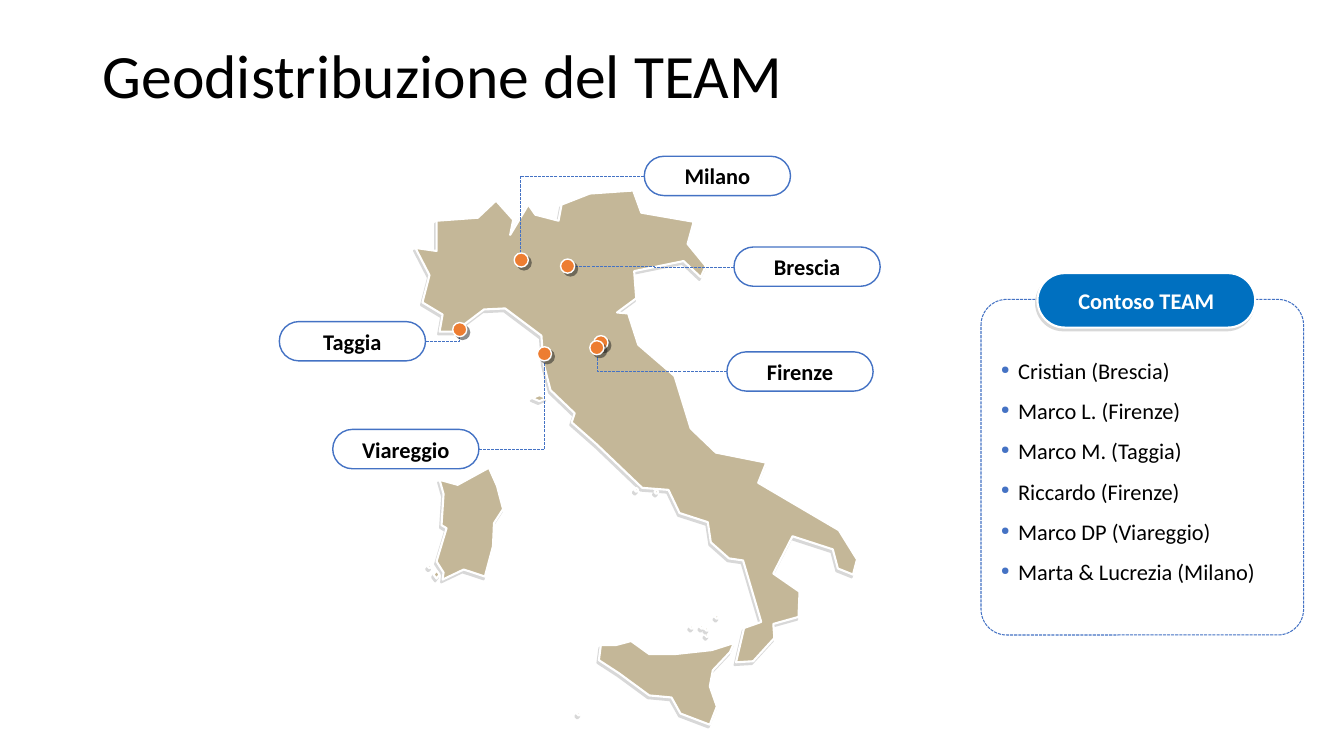
from lxml.etree import SubElement
from pptx import Presentation
from pptx.dml.color import RGBColor
from pptx.enum.dml import MSO_LINE
from pptx.enum.shapes import MSO_CONNECTOR, MSO_SHAPE
from pptx.enum.text import MSO_ANCHOR, PP_ALIGN
from pptx.oxml.ns import qn
from pptx.util import Pt

PX = 9144  # 100 px to the inch
BLACK = RGBColor(0x00, 0x00, 0x00)
WHITE = RGBColor(0xFF, 0xFF, 0xFF)
LAND = RGBColor(0xC4, 0xB7, 0x98)
ORANGE = RGBColor(0xED, 0x7D, 0x31)
BLUE = RGBColor(0x44, 0x72, 0xC4)
TEAM_BLUE = RGBColor(0x00, 0x70, 0xC0)
SOFT_SHADOW = ("B2B2B2", 2.2, 117)  # colour, distance in points, angle
PIN_SHADOW = ("1C1C1C", 2.8, 45)

TITLE = "Geodistribuzione del TEAM"
TEAM = "Contoso TEAM"
MEMBERS = [
    "Cristian (Brescia)",
    "Marco L. (Firenze)",
    "Marco M. (Taggia)",
    "Riccardo (Firenze)",
    "Marco DP (Viareggio)",
    "Marta & Lucrezia (Milano)",
]
# name, corner of the label, end of its line, corners of the pins, connector preset
CITIES = [
    ("Taggia", (277, 319), (456, 334), [(449, 320)], "bentConnector2"),
    ("Firenze", (721, 349), (593, 352), [(589, 333), (585, 338)], "bentConnector2"),
    ("Milano", (639, 155), (516, 251), [(510, 251)], "bentConnector2"),
    ("Brescia", (728, 245), (570, 264), [(556, 257)], "bentConnector3"),
    ("Viareggio", (330, 426), (540, 358), [(533, 344)], "bentConnector2"),
]
LABEL_W, LABEL_H, PIN = 145, 39, 14

MAINLAND = [
    (436, 329), (439, 312), (419, 300), (426, 273), (412, 246), (433, 249), (433, 219), (474, 216),
    (492, 199), (509, 218), (506, 233), (524, 203), (531, 213), (554, 219), (557, 203), (585, 192),
    (628, 189), (636, 211), (688, 220), (682, 242), (700, 264), (695, 275), (678, 259), (629, 269),
    (631, 296), (612, 310), (623, 311), (633, 342), (669, 373), (685, 425), (710, 449), (760, 459),
    (752, 479), (832, 526), (850, 555), (846, 570), (831, 564), (826, 545), (786, 532), (767, 569),
    (793, 587), (792, 612), (767, 619), (768, 633), (747, 656), (730, 657), (738, 623), (755, 617),
    (737, 556), (723, 554), (705, 538), (702, 518), (674, 509), (663, 486), (637, 484), (592, 441),
    (567, 419), (570, 410), (546, 387), (539, 360), (537, 333), (501, 306), (480, 307), (451, 329),
]
SARDINIA = [
    (440, 568), (433, 557), (443, 524), (438, 521), (440, 490), (436, 476), (454, 481), (485, 464),
    (493, 482), (499, 505), (490, 519), (489, 542), (481, 572), (460, 565), (439, 575),
]
SICILY = [
    (728, 638), (706, 645), (669, 649), (644, 649), (626, 636), (611, 640), (596, 640), (594, 655),
    (614, 668), (644, 690), (666, 692), (675, 708), (704, 719), (711, 701), (704, 681), (707, 665),
    (724, 647),
]
# half the width and height: centres
ISLETS = {
    (2, 2): [(701, 630), (696, 622), (701, 624), (686, 622), (711, 612),
             (631, 486), (651, 488), (574, 708), (426, 562)],
    (3, 4): [(433, 570)],
    (7, 3): [(535, 395)],
}

prs = Presentation()
prs.slide_width, prs.slide_height = 1333 * PX, 750 * PX
slide = prs.slides.add_slide(prs.slide_layouts[6])
shapes = slide.shapes


def style(shape, fill, line, width, shadow=None):
    if fill is None:
        shape.fill.background()
    else:
        shape.fill.solid()
        shape.fill.fore_color.rgb = fill
    shape.line.color.rgb = line
    shape.line.width = Pt(width)
    shape.shadow.inherit = False
    if shadow:
        color, distance, angle = shadow
        effects = shape._element.spPr.find(qn("a:effectLst"))
        outer = SubElement(effects, qn("a:outerShdw"), dist=str(int(Pt(distance))),
                           dir=str(angle * 60000), algn="ctr", rotWithShape="0")
        tint = SubElement(outer, qn("a:srgbClr"), val=color)
        SubElement(tint, qn("a:alpha"), val="50000")


def add_box(preset, x, y, w, h, round_by=None, **look):
    box = shapes.add_shape(preset, x * PX, y * PX, w * PX, h * PX)
    if round_by is not None:
        box.adjustments[0] = round_by
    style(box, **look)
    return box


def write(shape, lines, size=16, color=BLACK, bold=False, align=PP_ALIGN.LEFT,
          anchor=MSO_ANCHOR.TOP, spacing=None, wrap=True, bullet=None):
    frame = shape.text_frame
    frame.word_wrap = wrap
    frame.vertical_anchor = anchor
    for i, line in enumerate(lines):
        paragraph = frame.add_paragraph() if i else frame.paragraphs[0]
        paragraph.alignment = align
        if spacing:
            paragraph.line_spacing = spacing
        run = paragraph.add_run()
        run.text = line
        run.font.name, run.font.size, run.font.bold = "Calibri", Pt(size), bold
        run.font.color.rgb = color
        if bullet:
            props = paragraph._p.get_or_add_pPr()
            props.set("marL", str(17 * PX))
            props.set("indent", str(-17 * PX))
            SubElement(SubElement(props, qn("a:buClr")), qn("a:srgbClr"), val=str(BLUE))
            SubElement(props, qn("a:buSzPct"), val="50000")
            SubElement(props, qn("a:buChar"), char=bullet)


def add_land(outline):
    builder = shapes.build_freeform(*outline[0], scale=PX)
    builder.add_line_segments(outline[1:], close=True)
    style(builder.convert_to_shape(), LAND, WHITE, 1.5, SOFT_SHADOW)


def add_link(start, end, preset):
    """Dashed elbow that leaves its start horizontally."""
    link = shapes.add_connector(MSO_CONNECTOR.ELBOW, *(v * PX for v in start + end))
    link._element.spPr.find(qn("a:prstGeom")).set("prst", preset)
    link.line.color.rgb = BLUE
    link.line.width = Pt(0.75)
    link.line.dash_style = MSO_LINE.SQUARE_DOT
    SubElement(link._element.spPr, qn("a:effectLst"))


for outline in (MAINLAND, SARDINIA, SICILY):
    add_land(outline)
for (rx, ry), centres in ISLETS.items():
    for x, y in centres:
        add_land([(x - rx, y), (x, y - ry), (x + rx, y), (x, y + ry)])

for city, (x, y), end, pins, preset in CITIES:
    side = x + LABEL_W if end[0] > x else x
    add_link((side, y + (LABEL_H + 1) // 2), end, preset)
    label = add_box(MSO_SHAPE.ROUNDED_RECTANGLE, x, y, LABEL_W, LABEL_H, 0.5,
                    fill=WHITE, line=BLUE, width=1)
    write(label, [city], bold=True, align=PP_ALIGN.CENTER, anchor=MSO_ANCHOR.MIDDLE, wrap=False)
    for pin in pins:
        add_box(MSO_SHAPE.OVAL, *pin, PIN, PIN, fill=ORANGE, line=WHITE, width=1, shadow=PIN_SHADOW)

panel = add_box(MSO_SHAPE.ROUNDED_RECTANGLE, 973, 297, 320, 333, 0.08,
                fill=None, line=BLUE, width=0.75)
panel.line.dash_style = MSO_LINE.SQUARE_DOT
heading = add_box(MSO_SHAPE.ROUNDED_RECTANGLE, 1029, 271, 216, 54, 0.5,
                  fill=TEAM_BLUE, line=WHITE, width=1.5, shadow=SOFT_SHADOW)
write(heading, [TEAM], color=WHITE, bold=True, align=PP_ALIGN.CENTER, anchor=MSO_ANCHOR.MIDDLE)
members = shapes.add_textbox(983 * PX, 336 * PX, 306 * PX, 252 * PX)
write(members, MEMBERS, spacing=1.5, bullet="●")

title = shapes.add_textbox(92 * PX, 40 * PX, 1150 * PX, 145 * PX)
write(title, [TITLE], size=44, spacing=0.9)

prs.save("out.pptx")
